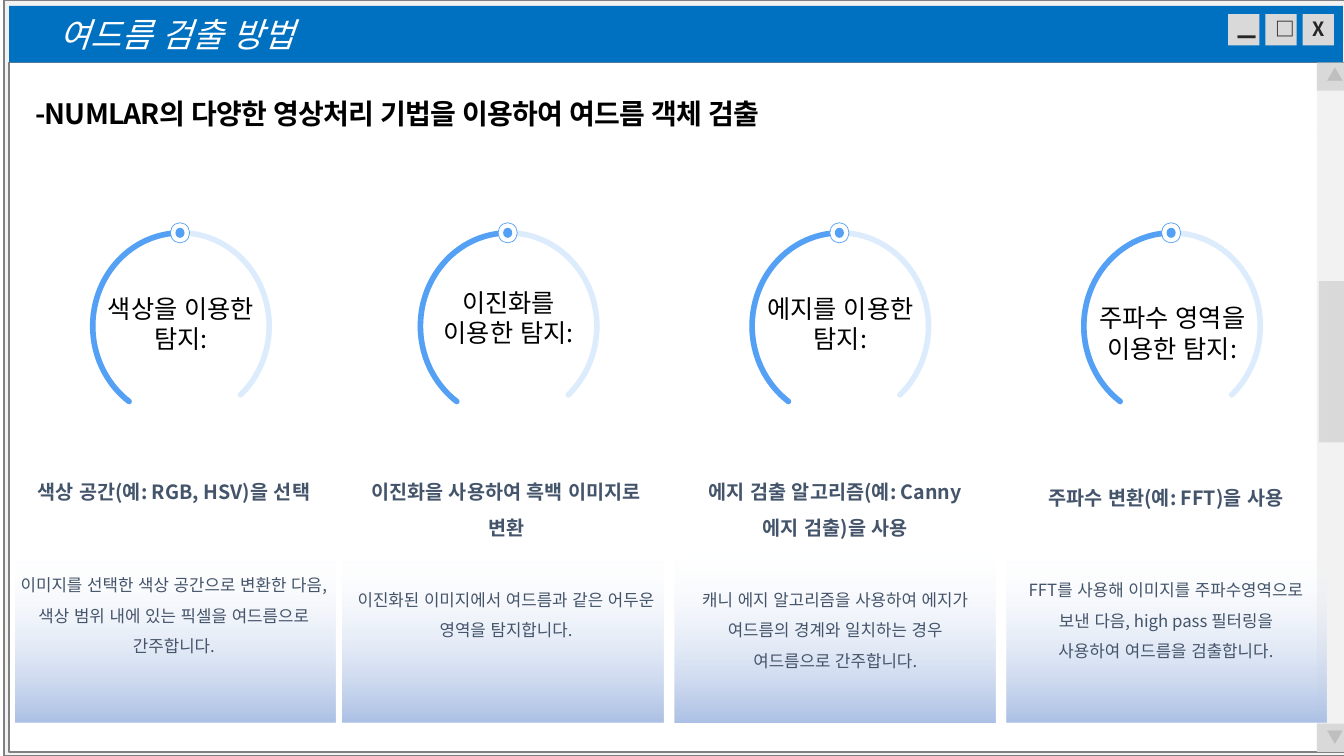
from dataclasses import dataclass

from lxml.etree import SubElement
from pptx import Presentation
from pptx.dml.color import RGBColor
from pptx.enum.lang import MSO_LANGUAGE_ID
from pptx.enum.shapes import MSO_SHAPE
from pptx.enum.text import MSO_ANCHOR, MSO_AUTO_SIZE, PP_ALIGN
from pptx.oxml.ns import qn
from pptx.util import Inches, Pt


@dataclass(frozen=True)
class Theme:
    font: str = "Noto Sans CJK KR"
    bar: str = "0070C0"
    panel: str = "F2F2F2"
    border: str = "808080"
    button: str = "D9D9D9"
    symbol: str = "262626"
    scroll: str = "BFBFBF"
    accent: str = "54A0F4"
    text: str = "44546A"
    black: str = "000000"
    white: str = "FFFFFF"
    fade_top: str = "FBFCFE"
    fade_end: str = "ABC0E4"
    title: int = 24
    headline: int = 20
    ring: int = 18
    head: int = 14
    body: int = 12


T = Theme()

METHODS = [
    dict(left=0.15, shift=-0.06, width=3.27, ring="색상을 이용한 탐지:", ring_lead=0.12,
         head="색상 공간(예: RGB, HSV)을 선택", head_lead=0, gap=43.6,
         body="이미지를 선택한 색상 공간으로 변환한 다음, 색상 범위 내에 있는 픽셀을 여드름으로 간주합니다."),
    dict(left=3.4, shift=0.04, width=3.16, ring="이진화를 이용한 탐지:", ring_lead=0,
         head="이진화을 사용하여 흑백 이미지로 변환", head_lead=0, gap=29,
         body="이진화된 이미지에서 여드름과 같은 어두운 영역을 탐지합니다."),
    dict(left=6.69, shift=0.13, width=2.93, ring="에지를 이용한 탐지:", ring_lead=0.12,
         head="에지 검출 알고리즘(예: Canny 에지 검출)을 사용", head_lead=0, gap=29,
         body="캐니 에지 알고리즘을 사용하여 에지가 여드름의 경계와 일치하는 경우 여드름으로 간주합니다."),
    dict(left=9.98, shift=0.12, width=2.93, ring="주파수 영역을 이용한 탐지:", ring_lead=0.31,
         head="주파수 변환(예: FFT)을 사용", head_lead=0.05, gap=43.6,
         body="FFT를 사용해 이미지를 주파수영역으로 보낸 다음, high pass 필터링을 사용하여 여드름을 검출합니다."),
]


def rgb(value):
    return RGBColor.from_string(value)


def set_alpha(element, percent):
    color = next(element.iter(qn("a:srgbClr")))
    SubElement(color, qn("a:alpha")).set("val", str(percent * 1000))


def add_run(p, text, size, color, bold=False, italic=False):
    r = p.add_run()
    r.text = text
    r.font.language_id = MSO_LANGUAGE_ID.KOREAN
    r.font.size = Pt(size)
    r.font.bold = bold
    r.font.italic = italic
    r.font.color.rgb = rgb(color)
    r.font.name = T.font
    SubElement(r.font._element, qn("a:ea")).set("typeface", T.font)
    return r


def add_box(s, x, y, w, h, fill=None, kind=MSO_SHAPE.RECTANGLE, line=None, weight=1):
    sp = s.shapes.add_shape(kind, Inches(x), Inches(y), Inches(w), Inches(h))
    sp.shadow.inherit = False
    if fill:
        sp.fill.solid()
        sp.fill.fore_color.rgb = rgb(fill)
    else:
        sp.fill.background()
    if line:
        sp.line.color.rgb = rgb(line)
        sp.line.width = Pt(weight)
    else:
        sp.line.fill.background()
    return sp


def add_label(sp, text, size, color, bold=False, italic=False,
              align=PP_ALIGN.CENTER, anchor=MSO_ANCHOR.MIDDLE, top=0.05, bottom=0.05):
    tf = sp.text_frame
    tf.word_wrap = True
    tf.vertical_anchor = anchor
    tf.margin_top, tf.margin_bottom = Inches(top), Inches(bottom)
    p = tf.paragraphs[0]
    p.alignment = align
    add_run(p, text, size, color, bold, italic)


def add_text(s, x, y, w, h):
    sp = s.shapes.add_textbox(Inches(x), Inches(y), Inches(w), Inches(h))
    tf = sp.text_frame
    tf.word_wrap = True
    tf.auto_size = MSO_AUTO_SIZE.SHAPE_TO_FIT_TEXT
    return tf


def add_frame(s, x, y, right, bottom):
    outer = [(right, y), (right, bottom), (x, bottom)]
    inner = [(x + 5, bottom - 4), (right - 4, bottom - 4), (right - 4, y + 62)]
    fb = s.shapes.build_freeform(x, y, scale=Inches(0.01))
    fb.add_line_segments(outer)
    fb.move_to(x + 5, y + 62)
    fb.add_line_segments(inner)
    sp = fb.convert_to_shape()
    sp.shadow.inherit = False
    sp.fill.solid()
    sp.fill.fore_color.rgb = rgb(T.panel)
    sp.line.color.rgb = rgb(T.border)
    sp.line.width = Pt(1.25)


def add_window(s, title):
    scroll_x, scroll_w = 13.06, 0.28
    add_box(s, scroll_x, 0.54, scroll_w, 6.9, T.panel)
    add_frame(s, 4, 0, 1338, 750)
    bar = add_box(s, 0.09, 0.06, 13.23, 0.56, T.bar)
    add_label(bar, title, T.title, T.white, italic=True, align=PP_ALIGN.LEFT)
    bar.text_frame.margin_left = Inches(0.5)

    buttons = [("_", T.title, MSO_ANCHOR.BOTTOM, 0.05),
               ("□", T.head, MSO_ANCHOR.MIDDLE, 0.08),
               ("X", T.head, MSO_ANCHOR.MIDDLE, 0.08)]
    for i, (symbol, size, anchor, bottom) in enumerate(buttons):
        button = add_box(s, 12.18 + 0.37 * i, 0.14, 0.31, 0.31, T.button)
        add_label(button, symbol, size, T.symbol, bold=True, anchor=anchor, bottom=bottom)

    for y, symbol in ((0.62, "▲"), (7.18, "▼")):
        arrow = add_box(s, scroll_x, y, scroll_w, scroll_w, T.button)
        add_label(arrow, symbol, T.body, T.scroll, bold=True, bottom=0.08)
    add_box(s, scroll_x + 0.02, 2.79, scroll_w, 1.6, T.button)


def add_ring(s, x, y, text, lead):
    w, h = 1.75, 1.85
    start = 74.705
    for end, alpha in ((29.475, 20), (160.802, None)):
        arc = add_box(s, x, y, w, h, kind=MSO_SHAPE.ARC, line=T.accent, weight=4)
        arc.adjustments[0], arc.adjustments[1] = start, end
        ln = arc.line._get_or_add_ln()
        ln.set("cap", "rnd")
        if alpha:
            set_alpha(ln, alpha)
            add_label(arc, text, T.ring, T.black, top=0.05 + lead)
    add_box(s, x + 0.77, y - 0.1, 0.19, 0.2, T.white, MSO_SHAPE.OVAL, T.accent, 0.5)
    add_box(s, x + 0.82, y - 0.05, 0.09, 0.1, T.accent, MSO_SHAPE.OVAL)


def add_method(s, m, y, w, h):
    x = m["left"]
    card = add_box(s, x, y, w, h)
    card.fill.gradient()
    card.fill.gradient_angle = 270
    stops = card.fill.gradient_stops
    for stop, position, color in zip(stops, (0.71, 1), (T.fade_top, T.fade_end)):
        stop.position = position
        stop.color.rgb = rgb(color)
    set_alpha(card._element.spPr.find(qn("a:gradFill")), 3)

    add_ring(s, x + 0.77, y + 1.02, m["ring"], m["ring_lead"])

    tf = add_text(s, x + m["shift"], y + 3.31, m["width"], 1.95)
    tf.margin_top = Inches(0.05 + m["head_lead"])
    head, body = tf.paragraphs[0], tf.add_paragraph()
    for p in (head, body):
        p.alignment = PP_ALIGN.CENTER
        p.line_spacing = 1.5
    body.space_before = Pt(m["gap"])
    add_run(head, m["head"], T.head, T.text, bold=True)
    add_run(body, m["body"], T.body, T.text)


def add_headline(s, x, y, w, h, text):
    tf = add_text(s, x, y, w, h)
    tf.margin_left = tf.margin_top = Inches(0.01)
    tf.margin_right = tf.margin_bottom = 0
    r = add_run(tf.paragraphs[0], text, T.headline, T.black, bold=True)
    r.font._element.set("spc", "-60")


def main():
    prs = Presentation()
    prs.slide_width, prs.slide_height = Inches(13.33), Inches(7.5)
    s = prs.slides.add_slide(prs.slide_layouts[6])
    add_window(s, "여드름 검출 방법")
    for m in METHODS:
        add_method(s, m, 1.29, 3.18, 5.88)
    add_headline(s, 0.34, 0.95, 7.8, 0.35, "-NUMLAR의 다양한 영상처리 기법을 이용하여 여드름 객체 검출")
    prs.save("out.pptx")


if __name__ == "__main__":
    main()
